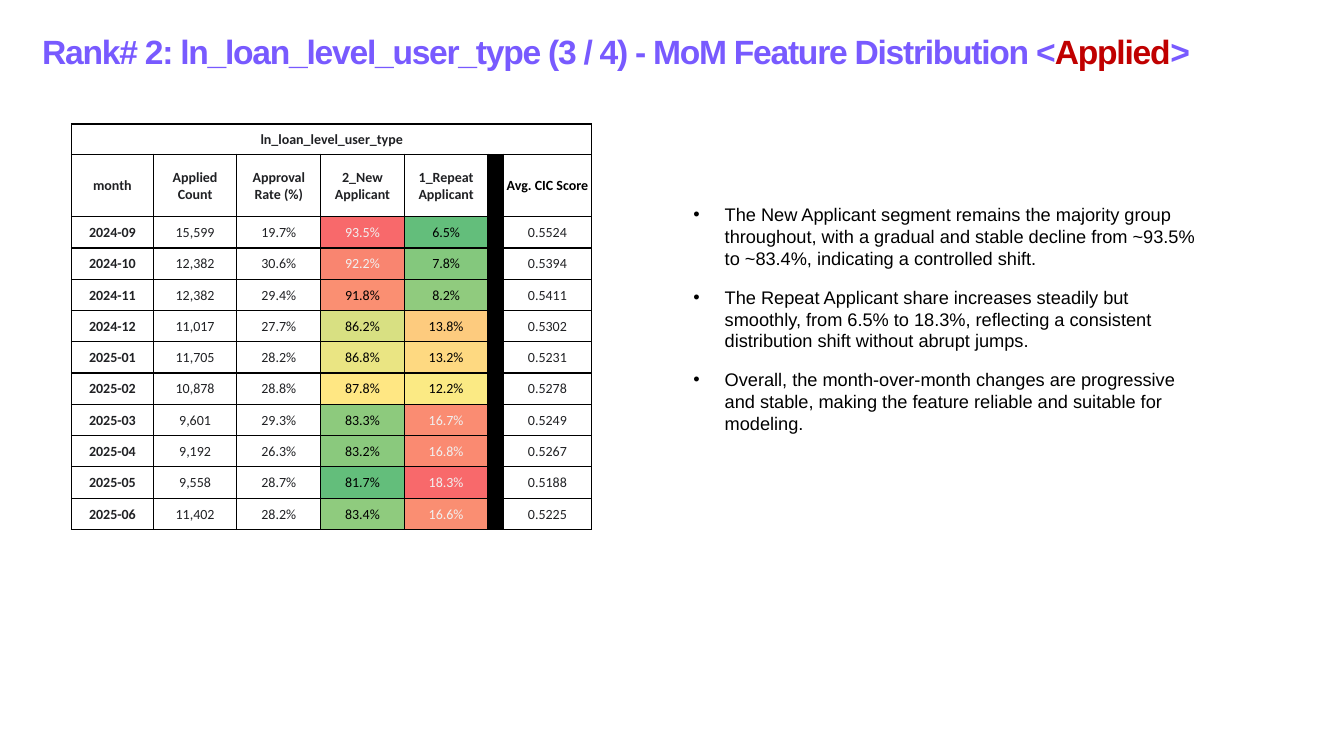
"""Build the month-over-month distribution slide for the loan level user type."""
from dataclasses import dataclass
from typing import Any

from lxml.etree import SubElement
from pptx import Presentation
from pptx.dml.color import RGBColor
from pptx.enum.text import MSO_ANCHOR as Anchor, MSO_AUTO_SIZE as AutoSize, PP_ALIGN as Align
from pptx.oxml.ns import qn
from pptx.slide import Slide
from pptx.table import _Cell as Cell
from pptx.text.text import TextFrame, _Paragraph as Paragraph, _Run as Run
from pptx.util import Emu, Pt

EMU_PER_PX = 9144
COLORS = {
    "white": "FFFFFF", "black": "000000", "ink": "202124", "pale": "F1F1F1",
    "violet": "785AFF", "crimson": "C00000",
}
HEAT = {
    "93.5%": "F8696B", "92.2%": "F98570", "91.8%": "FA8F72", "86.2%": "D8E082", "86.8%": "EAE583",
    "87.8%": "FFE783", "83.3%": "8DCA7D", "83.2%": "8AC97D", "81.7%": "63BE7B", "83.4%": "8FCB7E",
    "6.5%": "63BE7B", "7.8%": "84C87D", "8.2%": "90CB7E", "13.8%": "FDCB7E", "13.2%": "FED981",
    "12.2%": "FBEA84", "16.7%": "FA8C72", "16.8%": "FA8A71", "18.3%": "F8696B", "16.6%": "FA8E72",
}
TITLE_FONT = {"name": "Arial", "size": Pt(24), "bold": True}
FINDING_FONT = {"name": "Arial", "size": Pt(13), "bold": False}
LABEL_FONT = {"name": "Calibri", "size": Pt(10), "bold": True}
VALUE_FONT = {**LABEL_FONT, "bold": False}
CELL_FORMAT = {
    "margin_left": Emu(EMU_PER_PX), "margin_right": Emu(EMU_PER_PX),
    "margin_top": Emu(EMU_PER_PX), "margin_bottom": Emu(0), "vertical_anchor": Anchor.MIDDLE,
}

COLUMN_WIDTHS = [81, 83, 83, 83, 83, 15, 88]
SHARE_COLUMNS = (3, 4)
DIVIDER_COLUMN = 5
FEATURE = "ln_loan_level_user_type"
HEADINGS = ["month", "Applied Count", "Approval Rate (%)", "2_New Applicant",
            "1_Repeat Applicant", "", "Avg. CIC Score"]
FINDINGS = [
    "The New Applicant segment remains the majority group throughout, with a gradual and stable "
    "decline from ~93.5% to ~83.4%, indicating a controlled shift.",
    "The Repeat Applicant share increases steadily but smoothly, from 6.5% to 18.3%, reflecting "
    "a consistent distribution shift without abrupt jumps.",
    "Overall, the month-over-month changes are progressive and stable, making the feature "
    "reliable and suitable for modeling.",
]


@dataclass(frozen=True)
class Box:
    left: int
    top: int
    width: int
    height: int

    def emu(self) -> list[Emu]:
        return [px(side) for side in (self.left, self.top, self.width, self.height)]


@dataclass(frozen=True)
class Month:
    month: str
    applied: str
    approval: str
    new_share: str
    repeat_share: str
    score: str

    def cells(self) -> list[str]:
        return [self.month, self.applied, self.approval,
                self.new_share, self.repeat_share, "", self.score]


MONTHS = [
    Month("2024-09", "15,599", "19.7%", "93.5%", "6.5%", "0.5524"),
    Month("2024-10", "12,382", "30.6%", "92.2%", "7.8%", "0.5394"),
    Month("2024-11", "12,382", "29.4%", "91.8%", "8.2%", "0.5411"),
    Month("2024-12", "11,017", "27.7%", "86.2%", "13.8%", "0.5302"),
    Month("2025-01", "11,705", "28.2%", "86.8%", "13.2%", "0.5231"),
    Month("2025-02", "10,878", "28.8%", "87.8%", "12.2%", "0.5278"),
    Month("2025-03", "9,601", "29.3%", "83.3%", "16.7%", "0.5249"),
    Month("2025-04", "9,192", "26.3%", "83.2%", "16.8%", "0.5267"),
    Month("2025-05", "9,558", "28.7%", "81.7%", "18.3%", "0.5188"),
    Month("2025-06", "11,402", "28.2%", "83.4%", "16.6%", "0.5225"),
]
ROW_HEIGHTS = [30, 62] + [31] * len(MONTHS)


def px(length: int) -> Emu:
    return Emu(length * EMU_PER_PX)


def apply_format(target: Any, values: dict[str, Any]) -> None:
    for attribute, value in values.items():
        setattr(target, attribute, value)


def add_run(paragraph: Paragraph, text: str, font: dict[str, Any], color: str) -> Run:
    run = paragraph.add_run()
    run.text = text
    apply_format(run.font, font)
    run.font.color.rgb = RGBColor.from_string(color)
    return run


def add_text_frame(slide: Slide, box: Box) -> TextFrame:
    frame = slide.shapes.add_textbox(*box.emu()).text_frame
    frame.word_wrap = True
    return frame


def add_title(slide: Slide) -> None:
    frame = add_text_frame(slide, Box(32, 0, 1206, 81))
    frame.vertical_anchor = Anchor.MIDDLE
    heading = frame.paragraphs[0]
    heading.line_spacing = 1.5
    for text, color in (
        (f"Rank# 2: {FEATURE} (3 / 4) - MoM Feature Distribution <", "violet"),
        ("Applied", "crimson"),
        (">", "violet"),
    ):
        run = add_run(heading, text, TITLE_FONT, COLORS[color])
        run.font._element.set("spc", "-90")


def add_borders(cell: Cell) -> None:
    properties = cell._tc.get_or_add_tcPr()
    for side in ("lnL", "lnR", "lnT", "lnB"):
        border = SubElement(properties, qn(f"a:{side}"), w=str(Pt(1)))
        fill = SubElement(border, qn("a:solidFill"))
        SubElement(fill, qn("a:srgbClr"), val=COLORS["black"])


def fill_cell(cell: Cell, text: str, font: dict[str, Any], color: str, fill: str) -> None:
    apply_format(cell, CELL_FORMAT)
    add_borders(cell)
    cell.fill.solid()
    cell.fill.fore_color.rgb = RGBColor.from_string(fill)
    paragraph = cell.text_frame.paragraphs[0]
    paragraph.alignment = Align.CENTER
    if text:
        add_run(paragraph, text, font, color)


def share_ink(fill: str) -> str:
    red, green, _ = RGBColor.from_string(fill)
    return COLORS["pale" if red > 0xF0 and green < 0x8F else "black"]


def add_distribution(slide: Slide) -> None:
    rows = [[FEATURE] + [""] * 6, HEADINGS] + [month.cells() for month in MONTHS]
    box = Box(71, 123, sum(COLUMN_WIDTHS), sum(ROW_HEIGHTS))
    grid = slide.shapes.add_table(len(rows), len(COLUMN_WIDTHS), *box.emu()).table
    apply_format(grid, {"first_row": False, "horz_banding": False})
    for column, width in zip(grid.columns, COLUMN_WIDTHS):
        column.width = px(width)
    for row, height in zip(grid.rows, ROW_HEIGHTS):
        row.height = px(height)
    for r, texts in enumerate(rows):
        for c, text in enumerate(texts):
            font = LABEL_FONT if r < 2 or c == 0 else VALUE_FONT
            color, fill = COLORS["ink"], COLORS["white"]
            if r > 0 and c == DIVIDER_COLUMN:
                fill = COLORS["black"]
            elif r > 1 and c in SHARE_COLUMNS:
                fill = HEAT[text]
                color = share_ink(fill)
            elif text == HEADINGS[-1]:
                color = COLORS["black"]
            fill_cell(grid.cell(r, c), text, font, color, fill)
    grid.cell(0, 0).merge(grid.cell(0, len(COLUMN_WIDTHS) - 1))


def add_findings(slide: Slide) -> None:
    frame = add_text_frame(slide, Box(678, 197, 517, 219))
    frame.auto_size = AutoSize.SHAPE_TO_FIT_TEXT
    for index, finding in enumerate(FINDINGS):
        paragraph = frame.add_paragraph() if index else frame.paragraphs[0]
        properties = paragraph._p.get_or_add_pPr()
        properties.set("marL", str(px(31)))
        properties.set("indent", str(px(-31)))
        SubElement(properties, qn("a:buFont"), typeface="Arial")
        SubElement(properties, qn("a:buChar"), char="•")
        paragraph.space_after = Pt(12)
        add_run(paragraph, finding, FINDING_FONT, COLORS["black"])


def main() -> None:
    deck = Presentation()
    apply_format(deck, {"slide_width": px(1333), "slide_height": px(750)})
    slide = deck.slides.add_slide(deck.slide_layouts[6])
    add_title(slide)
    add_distribution(slide)
    add_findings(slide)
    deck.save("out.pptx")


if __name__ == "__main__":
    main()
